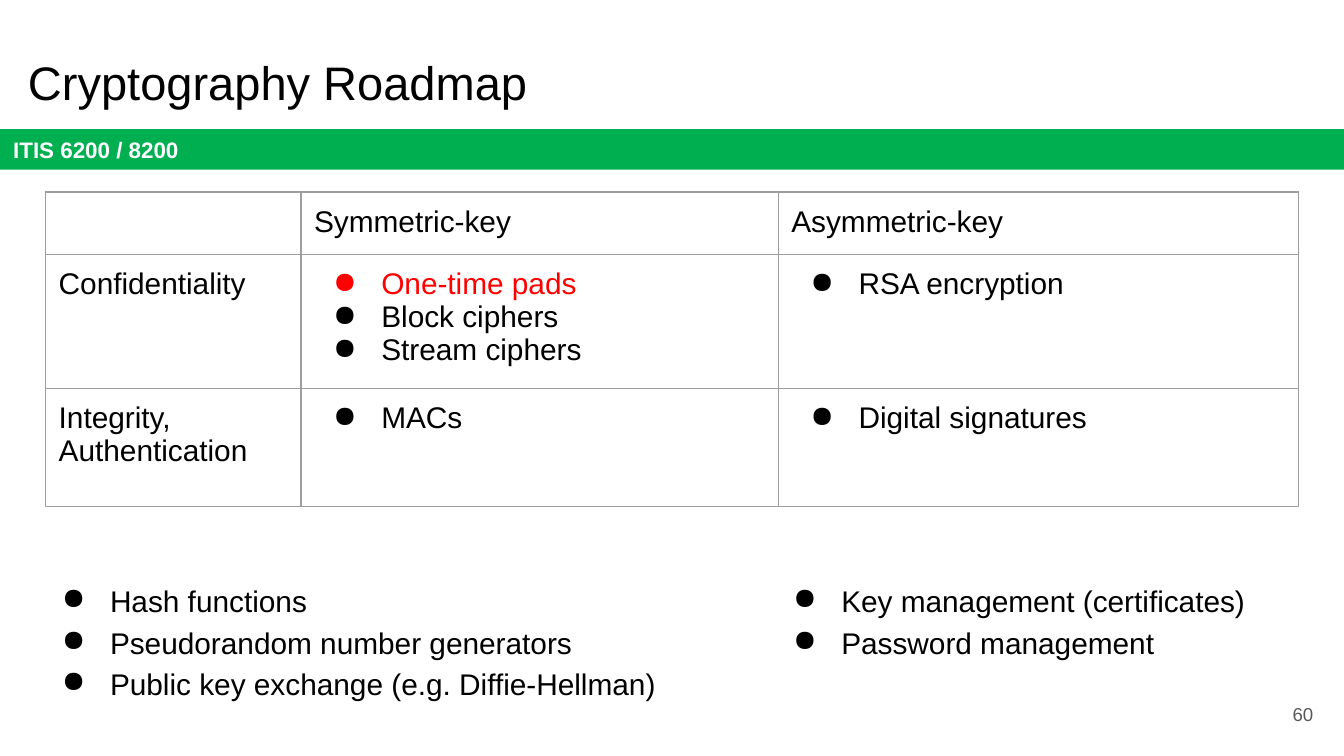
from lxml.etree import SubElement
from pptx import Presentation
from pptx.dml.color import RGBColor
from pptx.enum.shapes import MSO_SHAPE
from pptx.enum.text import MSO_ANCHOR, PP_ALIGN
from pptx.oxml import parse_xml
from pptx.oxml.ns import nsdecls, qn
from pptx.util import Cm, Pt

COLORS = {"ink": "000000", "hot": "FF0000", "band": "00B050",
          "white": "FFFFFF", "grid": "9E9E9E", "page": "595959"}
INSET = Cm(0.25)


def color(name):
    return RGBColor.from_string(COLORS[name])


def pad(item):
    """Give a text frame or a table cell the same inset on all sides."""
    item.margin_left = item.margin_right = INSET
    item.margin_top = item.margin_bottom = INSET


def style(para, size, ink="ink", bold=False):
    font = para.font
    font.name, font.size, font.bold = "Arial", Pt(size), bold
    font.color.rgb = color(ink)


def bullet(para, ink="ink"):
    props = para._p.get_or_add_pPr()
    props.set("marL", str(Cm(1.27)))
    props.set("indent", str(-Cm(0.91)))
    tint = SubElement(props, qn("a:buClr"))
    SubElement(tint, qn("a:srgbClr"), val=COLORS[ink])
    SubElement(props, qn("a:buChar"), char="●")


def paras(frame, lines):
    """Yield one paragraph for each line, with its text set."""
    for i, line in enumerate(lines):
        para = frame.add_paragraph() if i else frame.paragraphs[0]
        para.text = line
        yield para


def text_box(slide, box, anchor=MSO_ANCHOR.TOP):
    frame = slide.shapes.add_textbox(*map(Cm, box)).text_frame
    frame.word_wrap = True
    frame.vertical_anchor = anchor
    pad(frame)
    return frame


def add_label(slide, box, text, size, ink="ink", align=PP_ALIGN.LEFT,
              anchor=MSO_ANCHOR.TOP):
    para = text_box(slide, box, anchor).paragraphs[0]
    para.text, para.alignment = text, align
    style(para, size, ink)


def add_band(slide, box, text):
    band = slide.shapes.add_shape(MSO_SHAPE.RECTANGLE, *map(Cm, box))
    band.shadow.inherit = False
    band.fill.solid()
    band.fill.fore_color.rgb = color("band")
    band.line.fill.background()
    frame = band.text_frame
    pad(frame)
    frame.vertical_anchor = MSO_ANCHOR.MIDDLE
    para = frame.paragraphs[0]
    para.text, para.alignment = text, PP_ALIGN.LEFT
    style(para, 12, "white", True)


def add_list(slide, box, lines):
    for para in paras(text_box(slide, box), lines):
        bullet(para)
        para.line_spacing = 1.15
        style(para, 16)


def add_edges(cell):
    props = cell._tc.get_or_add_tcPr()
    for i, side in enumerate("LRTB"):
        props.insert(i, parse_xml(
            f'<a:ln{side} {nsdecls("a")} w="{Pt(0.75)}"><a:solidFill>'
            f'<a:srgbClr val="{COLORS["grid"]}"/></a:solidFill></a:ln{side}>'))


def fill_cell(cell, text, hot):
    """Write a heading (a string) or a bulleted list into the cell."""
    cell.fill.background()
    add_edges(cell)
    if not text:
        return
    pad(cell)
    listed = isinstance(text, list)
    for para in paras(cell.text_frame, text if listed else [text]):
        ink = "hot" if para.text == hot else "ink"
        if listed:
            bullet(para, ink)
        style(para, 16, ink)


def add_grid(slide, box, rows, widths, heights, hot):
    """Widths and heights are shares of the box."""
    x, y, w, h = box
    table = slide.shapes.add_table(len(rows), len(widths),
                                   *map(Cm, box)).table
    table.first_row = table.horz_banding = False
    for col, share in zip(table.columns, widths):
        col.width = Cm(w * share / sum(widths))
    for row, share, texts in zip(table.rows, heights, rows):
        row.height = Cm(h * share / sum(heights))
        for cell, text in zip(row.cells, texts):
            fill_cell(cell, text, hot)


def main():
    deck = Presentation()
    deck.slide_width, deck.slide_height = Cm(25.4), Cm(14.29)
    slide = deck.slides.add_slide(deck.slide_layouts[6])
    add_band(slide, (0, 2.44, 25.4, 0.77), "ITIS 6200 / 8200")
    add_label(slide, (0.28, 0.76, 23.67, 1.6), "Cryptography Roadmap", 25.2)
    rows = [
        ["", "Symmetric-key", "Asymmetric-key"],
        ["Confidentiality",
         ["One-time pads", "Block ciphers", "Stream ciphers"],
         ["RSA encryption"]],
        ["Integrity,\nAuthentication", ["MACs"], ["Digital signatures"]],
    ]
    add_grid(slide, (0.86, 3.63, 23.68, 5.76), rows,
             (1.9, 3.55, 3.87), (1.13, 2.4, 2.23), "One-time pads")
    add_list(slide, (0.56, 10.67, 12.14, 3.25),
             ["Hash functions", "Pseudorandom number generators",
              "Public key exchange (e.g. Diffie-Hellman)"])
    add_list(slide, (14.38, 10.67, 9.58, 1.98),
             ["Key management (certificates)", "Password management"])
    add_label(slide, (23.55, 12.95, 1.52, 1.09), "60", 10, "page",
              PP_ALIGN.RIGHT, MSO_ANCHOR.MIDDLE)
    deck.save("out.pptx")


if __name__ == "__main__":
    main()
